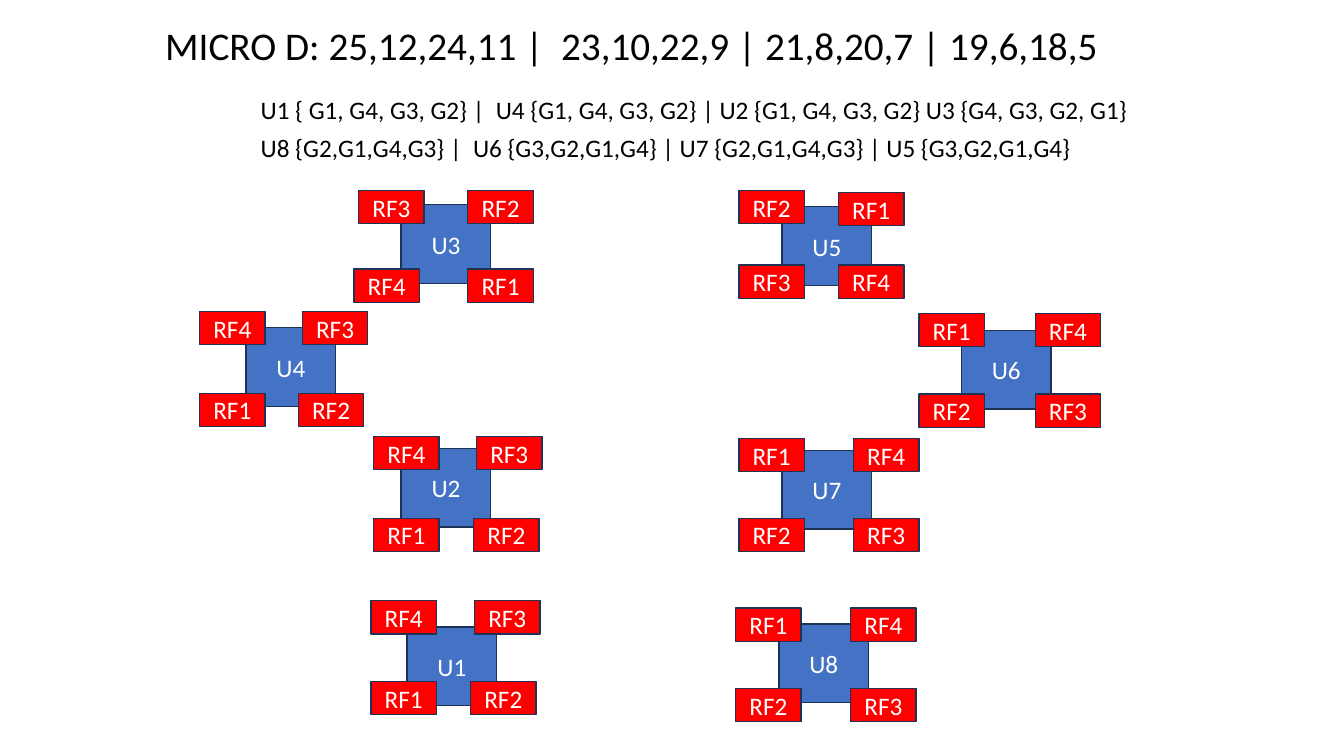
"""Build the slide that maps the RF ports around units U1 to U8."""
from dataclasses import dataclass

import pptx
import pptx.dml.color
import pptx.enum.shapes
import pptx.enum.text
import pptx.presentation
import pptx.shapes.autoshape
import pptx.slide
import pptx.text.text
import pptx.util
from pptx.util import Cm

COLOURS = {
    "unit": "4472C4",
    "port": "FF0000",
    "outline": "1E3256",
    "label": "FFFFFF",
    "text": "000000",
}
FONT = "Calibri"
UNIT_SIZE = (2.26, 1.98)
PORT_SIZE = (1.65, 0.84)
PORT_COUNT = 4
NOTE_SIZE = (23.06, 1.02)


@dataclass(frozen=True)
class Unit:
    """A unit and its ports, clockwise from top left, numbered downwards."""

    name: str
    left: float
    top: float
    first_port: int
    port_lefts: tuple[float, float, float, float]
    port_tops: tuple[float, float, float, float]


@dataclass(frozen=True)
class Note:
    """A line of text under the title."""

    left: float
    top: float
    text: str


TITLE = "MICRO D: 25,12,24,11 |  23,10,22,9 | 21,8,20,7 | 19,6,18,5"
NOTES = (
    Note(6.32, 2.24, "U1 { G1, G4, G3, G2} |  U4 {G1, G4, G3, G2} | "
                     "U2 {G1, G4, G3, G2} U3 {G4, G3, G2, G1}"),
    Note(6.32, 3.2, "U8 {G2,G1,G4,G3} |  U6 {G3,G2,G1,G4} | "
                    "U7 {G2,G1,G4,G3} | U5 {G3,G2,G1,G4}"),
)
UNITS = (
    Unit("U6", 24.23, 8.33, 1, (23.16, 26.09, 26.09, 23.16), (7.9, 7.9, 9.93, 9.93)),
    Unit("U3", 10.11, 5.16, 3, (9.04, 11.79, 11.79, 8.92), (4.8, 4.8, 6.78, 6.78)),
    Unit("U4", 6.2, 8.26, 4, (5.03, 7.62, 7.52, 5.03), (7.85, 7.85, 9.91, 9.91)),
    Unit("U2", 10.11, 11.3, 4, (9.42, 12.01, 11.94, 9.42), (11, 11, 13.06, 13.06)),
    Unit("U1", 10.26, 15.8, 4, (9.35, 11.96, 11.86, 9.35), (15.14, 15.14, 17.17, 17.17)),
    Unit("U5", 19.71, 5.21, 2, (18.62, 21.13, 21.13, 18.62), (4.8, 4.85, 6.68, 6.68)),
    Unit("U7", 19.71, 11.35, 1, (18.62, 21.51, 21.51, 18.62), (11.05, 11.05, 13.06, 13.06)),
    Unit("U8", 19.63, 15.72, 1, (18.54, 21.44, 21.44, 18.54), (15.32, 15.32, 17.35, 17.35)),
)


def colour(name: str) -> pptx.dml.color.RGBColor:
    """Return a named colour."""
    return pptx.dml.color.RGBColor.from_string(COLOURS[name])


def write(
    para: pptx.text.text._Paragraph,
    text: str,
    size: int,
    colour_name: str,
    align: pptx.enum.text.PP_ALIGN,
) -> None:
    """Add one formatted run to a paragraph."""
    para.alignment = align
    span = para.add_run()
    span.text = text
    span.font.name = FONT
    span.font.size = pptx.util.Pt(size)
    span.font.color.rgb = colour(colour_name)


def add_box(
    page: pptx.slide.Slide,
    left: float,
    top: float,
    size: tuple[float, float],
    fill: str,
    label: str,
) -> None:
    """Draw a labelled rectangle."""
    width, height = size
    box = page.shapes.add_shape(
        pptx.enum.shapes.MSO_SHAPE.RECTANGLE, Cm(left), Cm(top), Cm(width), Cm(height)
    )
    box.shadow.inherit = False
    box.fill.solid()
    box.fill.fore_color.rgb = colour(fill)
    box.line.color.rgb = colour("outline")
    box.line.width = pptx.util.Pt(1)
    box.text_frame.vertical_anchor = pptx.enum.text.MSO_ANCHOR.MIDDLE
    write(box.text_frame.paragraphs[0], label, 18, "label", pptx.enum.text.PP_ALIGN.CENTER)


def add_unit(page: pptx.slide.Slide, unit: Unit) -> None:
    """Draw a unit with its four ports."""
    add_box(page, unit.left, unit.top, UNIT_SIZE, "unit", unit.name)
    for step, (left, top) in enumerate(zip(unit.port_lefts, unit.port_tops)):
        number = (unit.first_port - step - 1) % PORT_COUNT + 1
        add_box(page, left, top, PORT_SIZE, "port", f"RF{number}")


def fill_text(box: pptx.shapes.autoshape.Shape, text: str, size: int) -> None:
    """Set left-aligned text in a box that grows with it."""
    frame = box.text_frame
    frame.word_wrap = True
    frame.auto_size = pptx.enum.text.MSO_AUTO_SIZE.SHAPE_TO_FIT_TEXT
    frame.vertical_anchor = pptx.enum.text.MSO_ANCHOR.TOP
    write(frame.paragraphs[0], text, size, "text", pptx.enum.text.PP_ALIGN.LEFT)


def add_title(page: pptx.slide.Slide) -> None:
    """Place and fill the title."""
    box = page.shapes.title
    box.left, box.top, box.width, box.height = Cm(3.91), Cm(0.41), Cm(24.16), Cm(1.45)
    fill_text(box, TITLE, 28)


def add_note(page: pptx.slide.Slide, note: Note) -> None:
    """Draw a line of text under the title."""
    width, height = NOTE_SIZE
    box = page.shapes.add_textbox(Cm(note.left), Cm(note.top), Cm(width), Cm(height))
    fill_text(box, note.text, 18)


def build() -> pptx.presentation.Presentation:
    """Return the finished deck."""
    deck = pptx.Presentation()
    deck.slide_width, deck.slide_height = Cm(33.87), Cm(19.05)
    page = deck.slides.add_slide(deck.slide_layouts.get_by_name("Title Only"))
    add_title(page)
    for unit in UNITS:
        add_unit(page, unit)
    for note in NOTES:
        add_note(page, note)
    return deck


if __name__ == "__main__":
    build().save("out.pptx")
